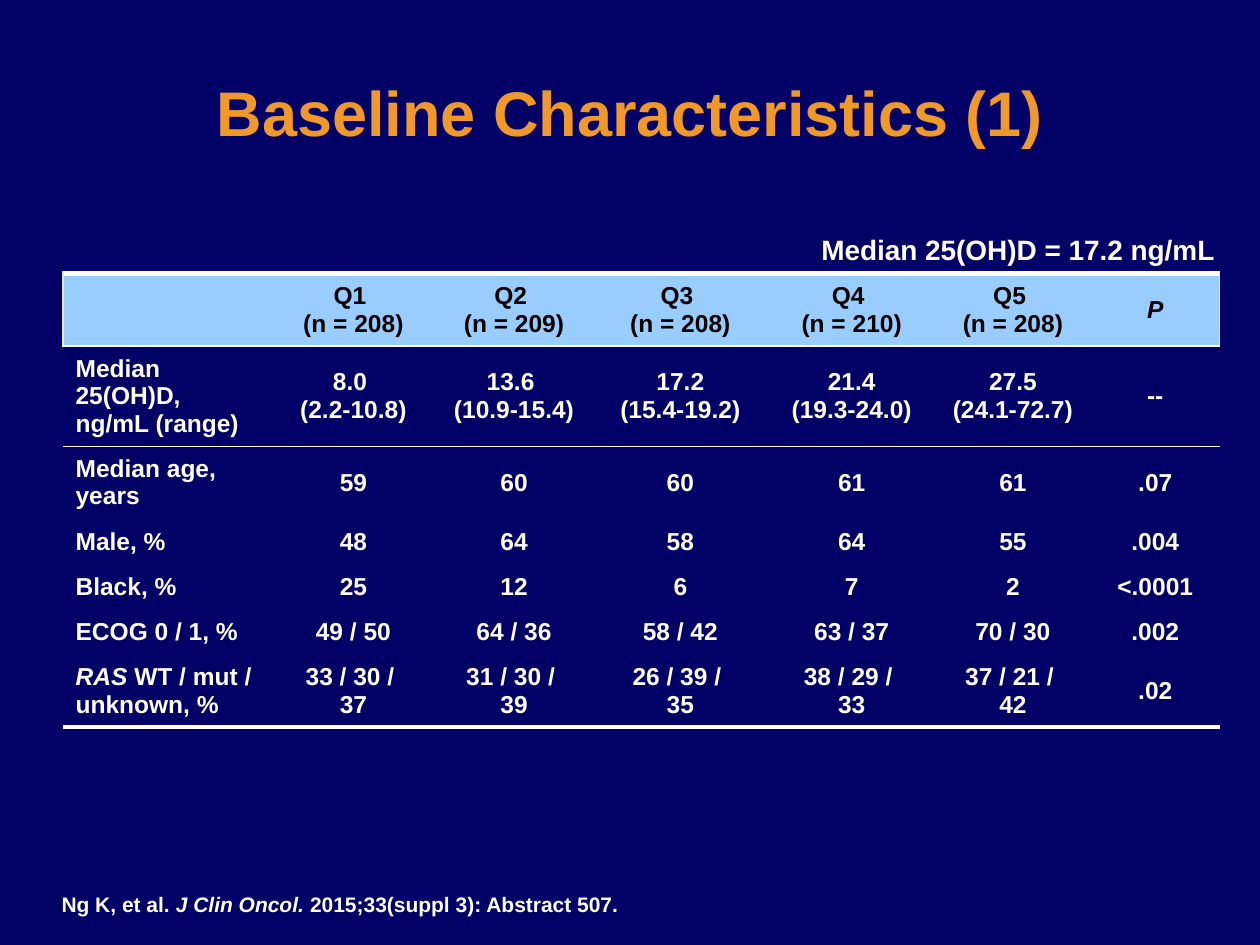
from lxml import etree
from pptx import Presentation
from pptx import util as u
from pptx.dml import color
from pptx.enum import text
from pptx.oxml import ns, parse_xml

WHITE, BLACK, NAVY = "FFFFFF", "000000", "000066"
ORANGE, SKY, CREAM = "F09828", "99CCFF", "EBEAB9"
NO_GRID_STYLE = "{2D5ABB26-0587-4C30-8999-92F81FD0307C}"
COLUMNS = [1.65, 1.31, 1.24, 1.4, 1.32, 1.24, 1.02]
ROWS = [0.4, 0.6, 0.42, 0.28, 0.28, 0.28, 0.4]
CELLS = [
    ["", "Q1 \n(n = 208)", "Q2 \n(n = 209)", "Q3 \n(n = 208)",
     "Q4 \n(n = 210)", "Q5 \n(n = 208)", [("P", True)]],
    ["Median 25(OH)D, ng/mL (range)", "8.0 \n(2.2-10.8)", "13.6 \n(10.9-15.4)",
     "17.2\n(15.4-19.2)", "21.4\n(19.3-24.0)", "27.5\n(24.1-72.7)", "--"],
    ["Median age, years", "59", "60", "60", "61", "61", ".07"],
    ["Male, %", "48", "64", "58", "64", "55", ".004"],
    ["Black, %", "25", "12", "6", "7", "2", "<.0001"],
    ["ECOG 0 / 1, %", "49 / 50", "64 / 36", "58 / 42", "63 / 37", "70 / 30", ".002"],
    [[("RAS ", True), ("WT / mut / unknown, %", False)], "33 / 30 / \n37",
     "31 / 30 / \n39", "26 / 39 / \n35", "38 / 29 / \n33", "37 / 21 / \n42", ".02"],
]


def rgb(value):
    """Return the colour for a hex string."""
    return color.RGBColor.from_string(value)


def write(frame, content, size, tint, align):
    """Fill a text frame with lines of text, or with (text, italic) spans."""
    if isinstance(content, str):
        frame.text = content
    else:
        for words, italic in content:
            span = frame.paragraphs[0].add_run()
            span.text = words
            if italic:
                span.font.italic = True
    for para in frame.paragraphs:
        para.alignment = align
        font = para.font
        font.name, font.size, font.bold = "Arial", u.Pt(size), True
        font.color.rgb = rgb(tint)


def add_title(page, left, top, width, height):
    """Place the shadowed slide title."""
    title = page.shapes.title
    title.left, title.top = u.Inches(left), u.Inches(top)
    title.width, title.height = u.Inches(width), u.Inches(height)
    frame = title.text_frame
    frame.vertical_anchor = text.MSO_ANCHOR.MIDDLE
    write(frame, "Baseline Characteristics (1)", 36, ORANGE, text.PP_ALIGN.CENTER)
    para = frame.paragraphs[0]
    para.line_spacing = 0.9
    para.runs[0]._r.get_or_add_rPr().append(parse_xml(
        f'<a:effectLst {ns.nsdecls("a")}><a:outerShdw dist="38100" dir="2700000">'
        f'<a:srgbClr val="{BLACK}"/></a:outerShdw></a:effectLst>'))


def add_border(cell, side, tint, points):
    """Draw one side of a cell, with side given as L, R, T or B."""
    line = etree.SubElement(cell._tc.get_or_add_tcPr(), ns.qn(f"a:ln{side}"),
                            w=str(u.Pt(points)))
    fill = etree.SubElement(line, ns.qn("a:solidFill"))
    etree.SubElement(fill, ns.qn("a:srgbClr"), val=tint)


def add_borders(cell, row, column):
    """Rule the header and the foot of the table."""
    if row == 0 and column == 0:
        add_border(cell, "L", CREAM, 1)
    if row == 0 and column == len(COLUMNS) - 1:
        add_border(cell, "R", CREAM, 1)
    if row < 2:
        add_border(cell, "T", WHITE, 1 if row else 3)
    if row == 0:
        add_border(cell, "B", WHITE, 1)
    if row == len(ROWS) - 1:
        add_border(cell, "B", WHITE, 3)


def add_characteristics(page, left, top, width, height):
    """Place the table of baseline characteristics by quintile."""
    holder = page.shapes.add_table(len(ROWS), len(COLUMNS), u.Inches(left),
                                   u.Inches(top), u.Inches(width), u.Inches(height))
    table = holder.table
    table.horz_banding = table.first_row = False
    table._tbl.tblPr.find(ns.qn("a:tableStyleId")).text = NO_GRID_STYLE
    for column, size in zip(table.columns, COLUMNS):
        column.width = u.Inches(size)
    for row, size in zip(table.rows, ROWS):
        row.height = u.Inches(size)
    holder.height = u.Inches(height)
    for i, contents in enumerate(CELLS):
        for j, content in enumerate(contents):
            cell = table.cell(i, j)
            cell.vertical_anchor = text.MSO_ANCHOR.MIDDLE
            cell.margin_left = cell.margin_right = u.Inches(0.1)
            cell.margin_top = cell.margin_bottom = u.Inches(0.07)
            write(cell.text_frame, content, 14, WHITE if i else BLACK,
                  text.PP_ALIGN.CENTER if j else text.PP_ALIGN.LEFT)
            add_borders(cell, i, j)
            if i:
                cell.fill.background()
            else:
                cell.fill.solid()
                cell.fill.fore_color.rgb = rgb(SKY)


def add_note(page, left, top, width, height, content, size, align):
    """Place a line of white text in its own box."""
    box = page.shapes.add_textbox(u.Inches(left), u.Inches(top),
                                  u.Inches(width), u.Inches(height))
    box.text_frame.word_wrap = True
    box.text_frame.auto_size = text.MSO_AUTO_SIZE.SHAPE_TO_FIT_TEXT
    write(box.text_frame, content, size, WHITE, align)


def main():
    """Build the slide and save it."""
    deck = Presentation()
    deck.slide_width, deck.slide_height = u.Inches(10), u.Inches(7.5)
    page = deck.slides.add_slide(deck.slide_layouts[5])
    page.background.fill.solid()
    page.background.fill.fore_color.rgb = rgb(NAVY)
    add_title(page, 0.25, 0.32, 9.5, 1.2)
    add_characteristics(page, 0.5, 2.17, 9.17, 3.73)
    add_note(page, 6.33, 1.8, 3.5, 0.37, "Median 25(OH)D = 17.2 ng/mL", 16,
             text.PP_ALIGN.CENTER)
    citation = [("Ng K, et al. ", False), ("J Clin Oncol. ", True),
                ("2015;33(suppl 3): Abstract 507.", False)]
    add_note(page, 0.39, 7.03, 5.33, 0.3, citation, 12, text.PP_ALIGN.LEFT)
    deck.save("out.pptx")


if __name__ == "__main__":
    main()
